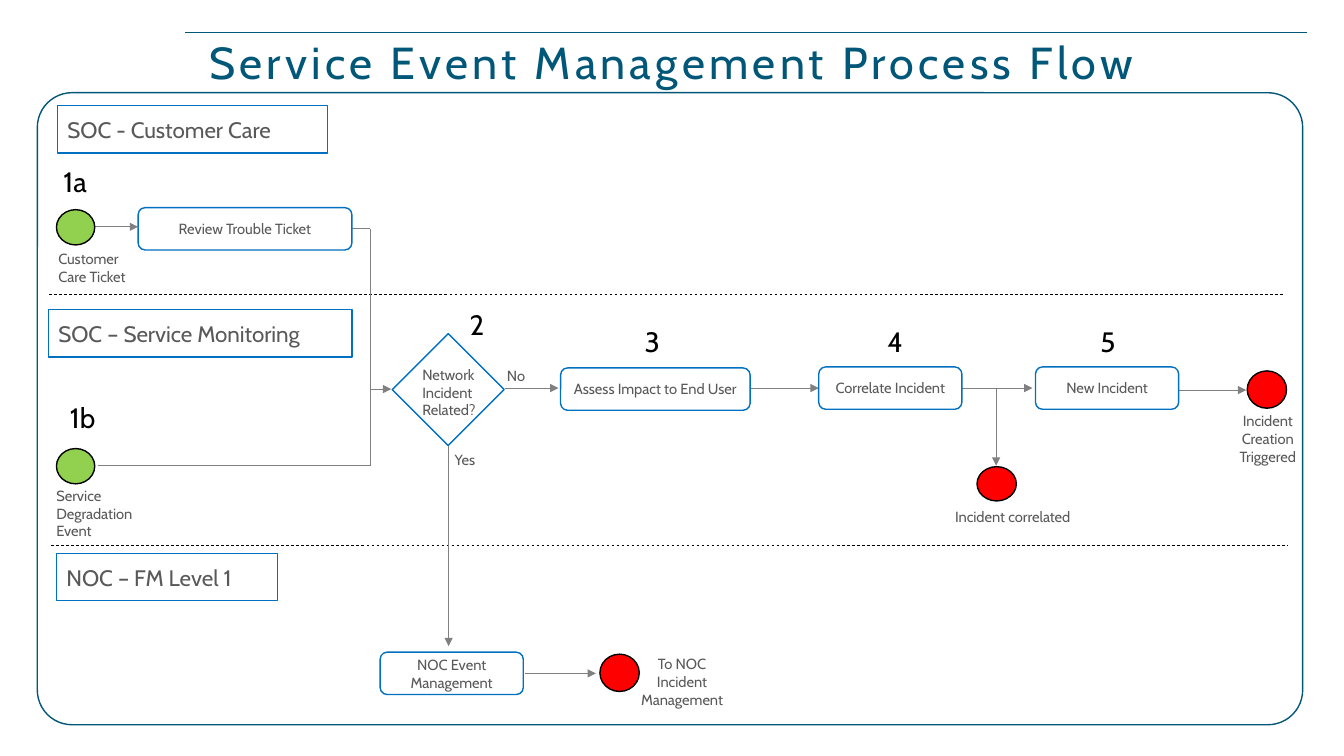
from lxml.etree import SubElement
from pptx import Presentation
from pptx.dml.color import RGBColor
from pptx.enum.dml import MSO_LINE
from pptx.enum.shapes import MSO_CONNECTOR, MSO_SHAPE
from pptx.enum.text import MSO_ANCHOR, MSO_AUTO_SIZE, PP_ALIGN
from pptx.oxml.ns import qn
from pptx.util import Inches, Pt

TEAL, BLUE, GREY, TEXT = "005778", "0070C0", "808080", "595959"
GREEN, RED, WHITE, BLACK = "92D050", "FF0000", "FFFFFF", "000000"
LEFT, CENTER = PP_ALIGN.LEFT, PP_ALIGN.CENTER

prs = Presentation()
prs.slide_width, prs.slide_height = Inches(13.33), Inches(7.5)
slide = prs.slides.add_slide(prs.slide_layouts[5])
shapes = slide.shapes


def write(frame, text, size=10.5, color=TEXT, align=CENTER, anchor=MSO_ANCHOR.TOP):
    """Fill a text frame with one paragraph per line of text."""
    frame.word_wrap = True
    frame.auto_size = MSO_AUTO_SIZE.NONE
    frame.vertical_anchor = anchor
    for index, line in enumerate(text.split("\n")):
        paragraph = frame.paragraphs[0] if index == 0 else frame.add_paragraph()
        paragraph.alignment = align
        run = paragraph.add_run()
        run.text = line
        run.font.name = "Cabin"
        run.font.size = Pt(size)
        run.font.color.rgb = RGBColor.from_string(color)


def draw(kind, left, top, width, height, fill, outline):
    """Add a flat shape with a thin outline."""
    shape = shapes.add_shape(kind, Inches(left), Inches(top), Inches(width), Inches(height))
    shape.shadow.inherit = False
    shape.fill.solid()
    shape.fill.fore_color.rgb = RGBColor.from_string(fill)
    shape.line.color.rgb = RGBColor.from_string(outline)
    shape.line.width = Pt(1)
    return shape


# Title
title = shapes.title
title.left, title.top, title.width, title.height = (
    Inches(0), Inches(0.32), Inches(13.33), Inches(0.6))
write(title.text_frame, "Service Event Management Process Flow", 32, TEAL,
      anchor=MSO_ANCHOR.BOTTOM)
heading = title.text_frame.paragraphs[0]
heading.line_spacing = 0.8
heading.runs[0].font._element.set("spc", "300")

# Outer frame
process_frame = draw(MSO_SHAPE.ROUNDED_RECTANGLE, 0.37, 0.92, 12.55, 6.27, WHITE, TEAL)
process_frame.adjustments[0] = 0.055

# Lines: from x, from y, to x, to y, colour, width, dashed, arrow
title_rule = [(1.84, 0.32, 12.96, 0.32, TEAL, 1, False, False)]
lane_dividers = [
    (0.49, 2.92, 12.74, 2.92, BLACK, 0.5, True, False),
    (0.51, 5.41, 12.77, 5.41, BLACK, 0.5, True, False),
]
joins = [(*ends, GREY, 0.5, False, False) for ends in [
    (3.49, 2.27, 3.67, 2.27),
    (3.67, 4.62, 3.67, 2.27),
    (0.97, 4.62, 3.67, 4.62),
]]
arrows = [(*ends, GREY, 0.5, False, True) for ends in [
    (0.93, 2.25, 1.37, 2.25),
    (3.67, 3.86, 3.88, 3.86),
    (5.01, 3.85, 5.54, 3.85),
    (7.42, 3.85, 8.12, 3.85),
    (9.53, 3.85, 10.24, 3.85),
    (11.66, 3.87, 12.36, 3.87),
    (9.88, 3.85, 9.88, 4.62),
    (4.45, 4.42, 4.45, 6.41),
    (5.21, 6.68, 5.91, 6.68),
]]
for x1, y1, x2, y2, color, width, dashed, arrow in title_rule + lane_dividers + joins + arrows:
    link = shapes.add_connector(
        MSO_CONNECTOR.STRAIGHT, Inches(x1), Inches(y1), Inches(x2), Inches(y2))
    link.line.color.rgb = RGBColor.from_string(color)
    link.line.width = Pt(width)
    if dashed:
        link.line.dash_style = MSO_LINE.DASH
    if arrow:
        SubElement(link.line._get_or_add_ln(), qn("a:tailEnd"), type="triangle")
    SubElement(link._element.spPr, qn("a:effectLst"))

# Lane names
for name, left, top, width in [
    ("SOC - Customer Care", 0.57, 1.05, 2.68),
    ("SOC – Service Monitoring", 0.48, 3.07, 3.01),
    ("NOC – FM Level 1", 0.56, 5.49, 2.19),
]:
    lane = draw(MSO_SHAPE.FLOWCHART_PROCESS, left, top, width, 0.47, WHITE, BLUE)
    write(lane.text_frame, name, 16, align=LEFT, anchor=MSO_ANCHOR.MIDDLE)

# Process steps
for name, left, top, width in [
    ("Review Trouble Ticket", 1.37, 2.06, 2.12),
    ("Assess Impact to End User", 5.56, 3.65, 1.88),
    ("Correlate Incident", 8.12, 3.64, 1.42),
    ("New Incident", 10.27, 3.64, 1.42),
    ("NOC Event Management", 3.77, 6.47, 1.42),
]:
    step = draw(MSO_SHAPE.ROUNDED_RECTANGLE, left, top, width, 0.42, WHITE, BLUE)
    write(step.text_frame, name, anchor=MSO_ANCHOR.MIDDLE)

# Decision
draw(MSO_SHAPE.FLOWCHART_DECISION, 3.89, 3.31, 1.11, 1.11, WHITE, BLUE)

# Start and end events
for left, top, width, height, fill in [
    (0.56, 2.08, 0.38, 0.35, GREEN),
    (0.56, 4.45, 0.38, 0.35, GREEN),
    (12.37, 3.68, 0.39, 0.37, RED),
    (9.69, 4.63, 0.39, 0.34, RED),
    (5.95, 6.49, 0.39, 0.37, RED),
]:
    draw(MSO_SHAPE.FLOWCHART_CONNECTOR, left, top, width, height, fill, BLACK)

# Event and branch labels, then step numbers
labels = [(*label, 10.5, TEXT) for label in [
    ("Customer\nCare Ticket", 0.48, 2.43, 0.92, 0.45, LEFT),
    ("Service\nDegradation\nEvent", 0.46, 4.78, 1.01, 0.63, LEFT),
    ("Network\nIncident\nRelated?", 4.09, 3.58, 0.76, 0.63, LEFT),
    ("No", 4.93, 3.59, 0.53, 0.29, LEFT),
    ("Yes", 4.41, 4.42, 0.53, 0.28, LEFT),
    ("Incident\nCreation\nTriggered", 12.16, 4.04, 0.83, 0.63, CENTER),
    ("Incident correlated", 9.01, 4.99, 2.07, 0.28, CENTER),
    ("To NOC\nIncident\nManagement", 6.23, 6.45, 1.07, 0.63, CENTER),
]]
numbers = [(number, left, top, width, 0.44, CENTER, 20, BLACK) for number, left, top, width in [
    ("1a", 0.43, 1.58, 0.63),
    ("1b", 0.42, 3.92, 0.8),
    ("2", 4.51, 3, 0.44),
    ("3", 6.25, 3.17, 0.44),
    ("4", 8.66, 3.17, 0.44),
    ("5", 10.77, 3.17, 0.44),
]]
for text, left, top, width, height, align, size, color in labels + numbers:
    label = shapes.add_textbox(Inches(left), Inches(top), Inches(width), Inches(height))
    write(label.text_frame, text, size, color, align)

prs.save("out.pptx")
